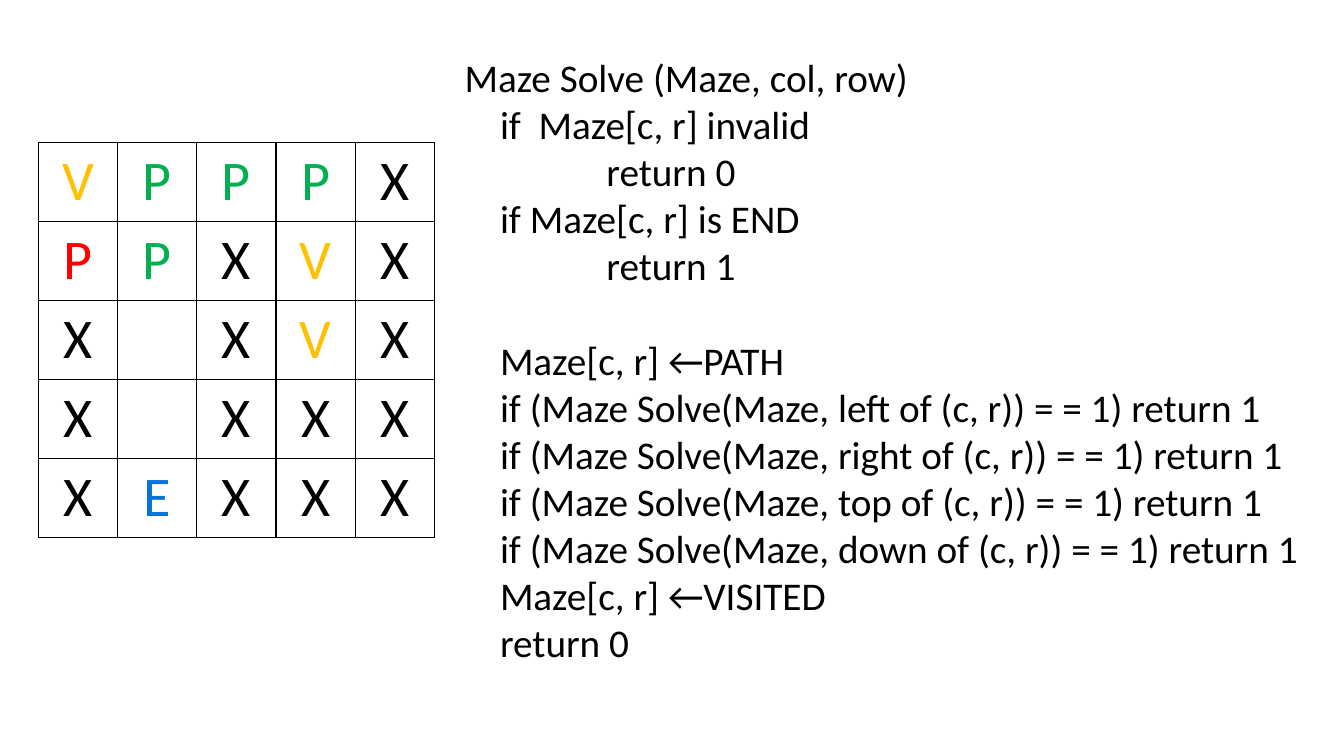
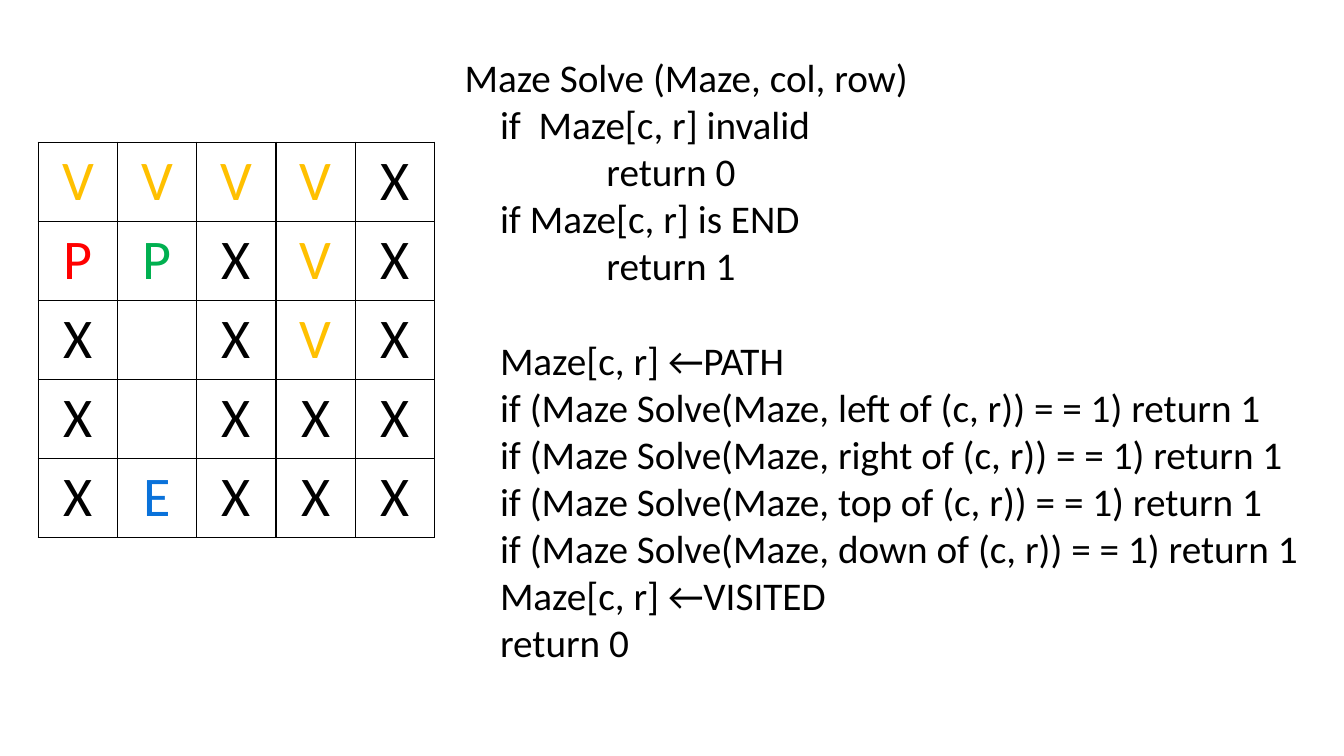
import pptx
import pptx.util
import pptx.oxml.ns
import pptx.dml.color
import pptx.enum.text
import lxml.etree
from dataclasses import dataclass, field

Inches = pptx.util.Inches
Pt = pptx.util.Pt
Color = pptx.dml.color.RGBColor.from_string


@dataclass(frozen=True)
class Theme:
    font: str = "Calibri"
    ink: str = "000000"
    mark: int = 40
    code: int = 28
    gap: int = 34
    rule: int = 1
    # Symbol in a maze string: letter shown and its colour
    marks: dict = field(default_factory=lambda: {
        "X": ("X", "000000"),
        "V": ("V", "FFC000"),
        "P": ("P", "00B050"),
        "S": ("P", "FF0000"),
        "E": ("E", "0A72DA"),
    })


THEME = Theme()

# Each maze is a list of rows; S is the start, E the end
REST = ["SPXVX", "X XVX", "X XXX", "XEXXX"]
MAZES = [["VPPPX"] + REST, ["VVVVX"] + REST]

HEAD = [
    "Maze Solve (Maze, col, row)",
    "    if  Maze[c, r] invalid",
    "                return 0",
    "    if Maze[c, r] is END",
    "                return 1",
]
BODY = ["    Maze[c, r] ←PATH"] + [
    f"    if (Maze Solve(Maze, {side} of (c, r)) = = 1) return 1"
    for side in ("left", "right", "top", "down")
] + [
    "    Maze[c, r] ←VISITED",
    "    return 0",
]


def style(para, size, color):
    para.font.name = THEME.font
    para.font.size = Pt(size)
    para.font.color.rgb = Color(color)


def border(cell):
    props = cell._tc.get_or_add_tcPr()
    qn = pptx.oxml.ns.qn
    for side in ("a:lnL", "a:lnR", "a:lnT", "a:lnB"):
        line = lxml.etree.SubElement(props, qn(side), w=str(Pt(THEME.rule)))
        fill = lxml.etree.SubElement(line, qn("a:solidFill"))
        lxml.etree.SubElement(fill, qn("a:srgbClr"), val=THEME.ink)


def add_maze(slide, maze, left, top, width, height):
    rows, cols = len(maze), len(maze[0])
    grid = slide.shapes.add_table(
        rows, cols, Inches(left), Inches(top), Inches(width), Inches(height)
    ).table
    grid.first_row = grid.horz_banding = False
    for r, row in enumerate(maze):
        for c, key in enumerate(row):
            cell = grid.cell(r, c)
            border(cell)
            cell.fill.background()
            if key in THEME.marks:
                text, color = THEME.marks[key]
                cell.text = text
                para = cell.text_frame.paragraphs[0]
                para.alignment = pptx.enum.text.PP_ALIGN.CENTER
                style(para, THEME.mark, color)


def add_code(slide, left, top, width, height):
    frame = slide.shapes.add_textbox(
        Inches(left), Inches(top), Inches(width), Inches(height)
    ).text_frame
    frame.word_wrap = True
    frame.auto_size = pptx.enum.text.MSO_AUTO_SIZE.SHAPE_TO_FIT_TEXT
    frame.text = "\n".join(HEAD + BODY)
    for para in frame.paragraphs:
        style(para, THEME.code, THEME.ink)
    # One line of space between the checks and the search
    frame.paragraphs[len(HEAD)].space_before = Pt(THEME.gap)


def add_step(deck, maze):
    slide = deck.slides.add_slide(deck.slide_layouts[6])
    add_maze(slide, maze, 0.38, 1.41, 3.93, 3.92)
    add_code(slide, 4.51, 0.48, 8.67, 6.23)


def main():
    deck = pptx.Presentation()
    deck.slide_width = Inches(13.33)
    deck.slide_height = Inches(7.5)
    for maze in MAZES:
        add_step(deck, maze)
    deck.save("out.pptx")


if __name__ == "__main__":
    main()
